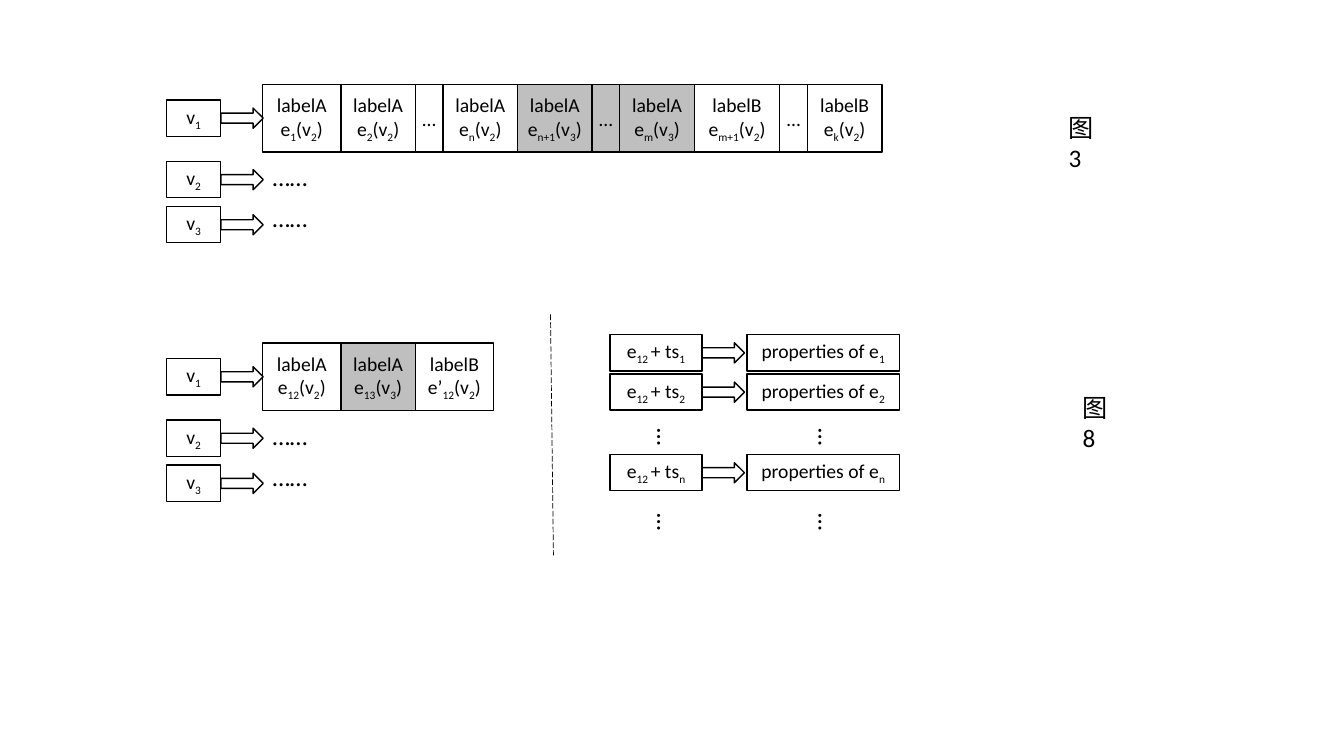
from lxml import etree
from pptx import Presentation
from pptx import util as u
from pptx.dml.color import RGBColor
from pptx.enum import dml, shapes, text
from pptx.oxml.ns import qn

COLOURS = {"ink": "000000", "paper": "FFFFFF", "shade": "BFBFBF"}
INK = RGBColor.from_string(COLOURS["ink"])
BOX, ARROW = shapes.MSO_SHAPE.RECTANGLE, shapes.MSO_SHAPE.RIGHT_ARROW
CELL_TEXT = {"word_wrap": True, "margin_left": 0, "margin_right": 0,
             "vertical_anchor": text.MSO_ANCHOR.MIDDLE}
LOOSE_TEXT = {"word_wrap": False, "vertical_anchor": text.MSO_ANCHOR.TOP}
CAPTION_TEXT = {**LOOSE_TEXT, "word_wrap": True}

deck = Presentation()
deck.slide_width, deck.slide_height = u.Inches(13.33), u.Inches(7.5)
slide = deck.slides.add_slide(deck.slide_layouts[6])

# All places and lengths are percent of the slide's width or height
COL, ROW = deck.slide_width / 100, deck.slide_height / 100


def write(frame, lines, size, align, settings):
    """Fill a text frame; every second part between bars is a subscript."""
    for name, value in settings.items():
        setattr(frame, name, value)
    for i, line in enumerate(lines):
        paragraph = frame.paragraphs[0] if i == 0 else frame.add_paragraph()
        paragraph.alignment = align
        for n, part in enumerate(line.split("|")):
            if not part:
                continue
            run = paragraph.add_run()
            run.text = part
            for name, value in {"size": u.Pt(size), "name": "Calibri"}.items():
                setattr(run.font, name, value)
            run.font.color.rgb = INK
            if n % 2:
                run.font._element.set("baseline", "-25000")


def place(kind, left, middle, width, height, lines=(), fill=None, settings=LOOSE_TEXT):
    """Add a shape, or loose text if kind is None, centred on a row."""
    area = [int(v) for v in (left * COL, (middle - height / 2) * ROW, width * COL, height * ROW)]
    if kind is None:
        label = slide.shapes.add_textbox(*area)
        write(label.text_frame, lines, 18, text.PP_ALIGN.LEFT, settings)
        return label
    block = slide.shapes.add_shape(kind, *area)
    block.shadow.inherit = False
    block.line.color.rgb, block.line.width = INK, u.Pt(1)
    if fill:
        block.fill.solid()
        block.fill.fore_color.rgb = RGBColor.from_string(COLOURS[fill])
    else:
        block.fill.background()
    if lines:
        write(block.text_frame, lines, 14, text.PP_ALIGN.CENTER, CELL_TEXT)
    return block


BOX_H, ARROW_W, ARROW_H = 4.8, 3.15, 2.67
VERTEX_X, VERTEX_W, EDGES_X, EDGES_H = 12.38, 4.05, 19.54, 8.93

# Adjacency lists: first row, then the edges as (width, lines, fill)
gap = ["…"]
adjacency = {
    15.63: [(5.82, ["labelA", "e|1|(v|2|)"], None),
            (5.55, ["labelA", "e|2|(v|2|)"], None),
            (2.05, gap, None),
            (5.55, ["labelA", "e|n|(v|2|)"], None),
            (5.55, ["labelA", "e|n+1|(v|3|)"], "shade"),
            (2.05, gap, "shade"),
            (5.55, ["labelA", "e|m|(v|3|)"], "shade"),
            (6.36, ["labelB", "e|m+1|(v|2|)"], None),
            (2.05, gap, None),
            (5.55, ["labelB", "e|k|(v|2|)"], None)],
    49.84: [(5.82, ["labelA", "e|12|(v|2|)"], None),
            (5.55, ["labelA", "e|13|(v|3|)"], "shade"),
            (5.8, ["labelB", "e’|12|(v|2|)"], None)],
}
for first_row, edges in adjacency.items():
    for vertex, drop in enumerate((0, 8.13, 14.1), start=1):
        row = first_row + drop
        place(BOX, VERTEX_X, row, VERTEX_W, BOX_H, [f"v|{vertex}|"])
        place(ARROW, VERTEX_X + VERTEX_W, row, ARROW_W, ARROW_H, fill="paper")
    for drop in (7.7, 13.2):
        place(None, EDGES_X, first_row + drop, 4.2, 5.33, ["……"])
    left = EDGES_X
    for width, lines, fill in edges:
        place(BOX, left, first_row, width, EDGES_H, lines, fill)
        left += width

# Divider between the lists and the property store
divider = slide.shapes.add_connector(
    shapes.MSO_CONNECTOR.STRAIGHT,
    *[int(v) for v in (40.96 * COL, 41.6 * ROW, 41.18 * COL, 73.47 * ROW)])
divider.line.color.rgb, divider.line.width = INK, u.Pt(0.5)
divider.line.dash_style = dml.MSO_LINE.LONG_DASH
etree.SubElement(divider._element.spPr, qn("a:effectLst"))

# Property store: key, arrow, properties
KEY_X, KEY_W, PROPERTIES_X, PROPERTIES_W = 45.39, 6.85, 55.59, 11.33
for version, row in {"1": 46.67, "2": 51.87, "n": 62.53}.items():
    place(BOX, KEY_X, row, KEY_W, BOX_H, [f"e|12 |+ ts|{version}|"])
    place(ARROW, KEY_X + KEY_W, row, ARROW_W, ARROW_H)
    place(BOX, PROPERTIES_X, row, PROPERTIES_W, BOX_H, [f"properties of e|{version}|"])
for row in (57.13, 68.47):
    for left in (47.41, 59.4):
        more = place(None, left, row, 3.75, 3.6, gap)
        more.text_frame._txBody.bodyPr.set("vert", "eaVert")

# Figure captions
for caption, left, row in (("图3", 78.77, 16.8), ("图8", 79.82, 53.87)):
    place(None, left, row, 4.1, 5.33, [caption], settings=CAPTION_TEXT)

deck.save("out.pptx")
